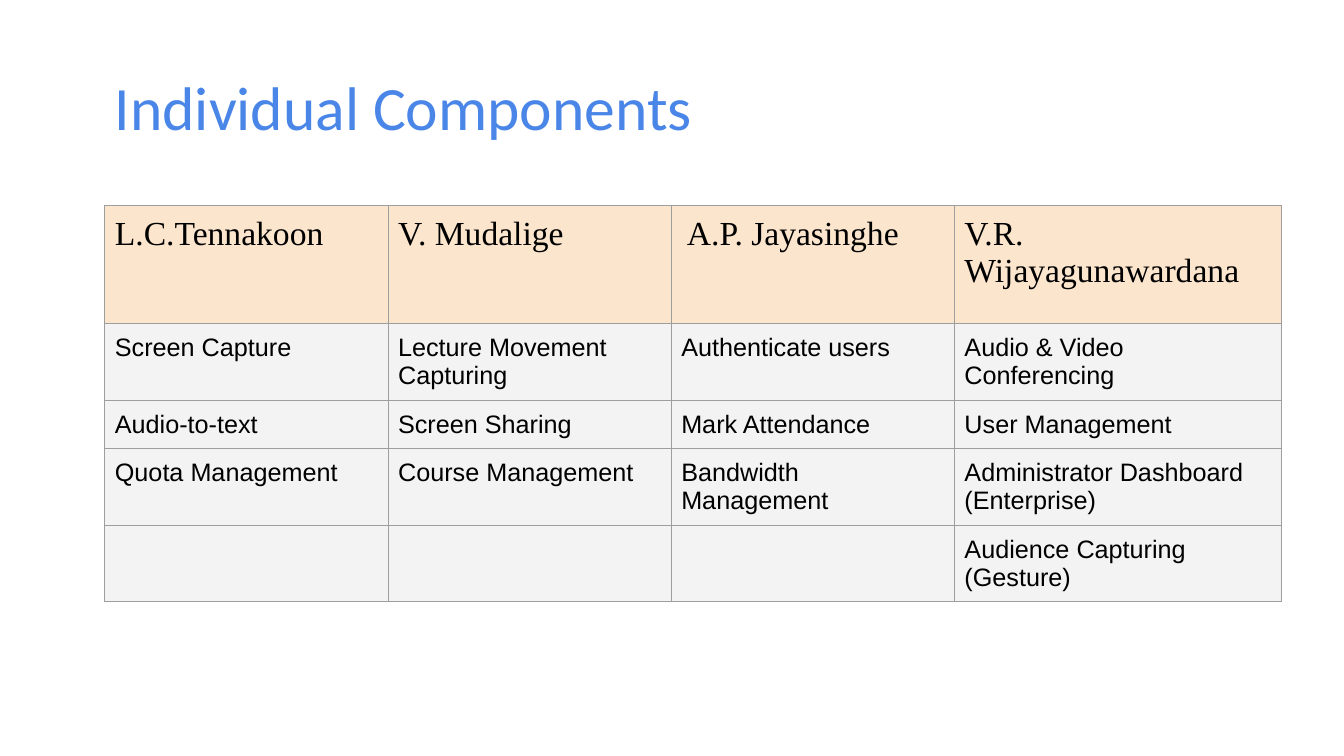
import pptx
import pptx.dml.color
import pptx.enum.text
import pptx.oxml
import pptx.oxml.ns
import pptx.util

Pt = pptx.util.Pt

COMPONENTS = {
    "L.C.Tennakoon": ["Screen Capture", "Audio-to-text", "Quota Management"],
    "V. Mudalige": ["Lecture Movement Capturing", "Screen Sharing", "Course Management"],
    "A.P. Jayasinghe": ["Authenticate users", "Mark Attendance", "Bandwidth Management"],
    "V.R. Wijayagunawardana": [
        "Audio & Video Conferencing",
        "User Management",
        "Administrator Dashboard (Enterprise)",
        "Audience Capturing (Gesture)",
    ],
}
COLUMN_WIDTHS = [202.3, 202.3, 202.3, 233.3]
ROW_HEIGHTS = [84.2, 54.6, 34.5, 54.6, 54.6]
INSET = 7.2
INDENTED_MEMBER = "A.P. Jayasinghe"
MEMBER_FORMAT = {"name": "Times New Roman", "size": Pt(24)}
COMPONENT_FORMAT = {"name": "Arial", "size": Pt(18)}
TITLE_FORMAT = {"name": "Calibri", "size": Pt(44)}


def color(value):
    return pptx.dml.color.RGBColor.from_string(value)


def set_attributes(target, values):
    for name, value in values.items():
        setattr(target, name, value)


def set_insets(target):
    """Give a cell or text frame the same inset on every side."""
    for side in ("left", "top", "right", "bottom"):
        setattr(target, f"margin_{side}", Pt(INSET))


def write_text(text_frame, text, font_format, font_color):
    paragraph = text_frame.paragraphs[0]
    run = paragraph.add_run()
    run.text = text
    set_attributes(run.font, font_format)
    run.font.color.rgb = color(font_color)
    return paragraph


def add_borders(cell, line_color, width):
    properties = cell._tc.get_or_add_tcPr()
    for position, side in enumerate(("lnL", "lnR", "lnT", "lnB")):
        border = pptx.oxml.parse_xml(
            f'<a:{side} {pptx.oxml.ns.nsdecls("a")} w="{Pt(width)}">'
            f'<a:solidFill><a:srgbClr val="{line_color}"/></a:solidFill></a:{side}>'
        )
        properties.insert(position, border)


def format_cell(cell, text, fill, font_format):
    set_insets(cell)
    cell.fill.solid()
    cell.fill.fore_color.rgb = color(fill)
    add_borders(cell, "9E9E9E", 0.75)
    if text:
        write_text(cell.text_frame, text, font_format, "000000")
    if text == INDENTED_MEMBER:
        cell.margin_left = Pt(INSET + 4)


def add_title(slide, text):
    shape = slide.shapes.add_textbox(Pt(74.9), Pt(20.9), Pt(491), Pt(115.9))
    frame = shape.text_frame
    set_insets(frame)
    set_attributes(frame, {
        "word_wrap": True,
        "vertical_anchor": pptx.enum.text.MSO_ANCHOR.MIDDLE,
    })
    write_text(frame, text, TITLE_FORMAT, "4A86E8").line_spacing = 0.9


def add_component_table(slide):
    """Add one column per member, with the member's components below the name."""
    shape = slide.shapes.add_table(
        len(ROW_HEIGHTS), len(COLUMN_WIDTHS),
        Pt(74.9), Pt(146.9), Pt(sum(COLUMN_WIDTHS)), Pt(sum(ROW_HEIGHTS)),
    )
    table = shape.table
    for row, height in zip(table.rows, ROW_HEIGHTS):
        row.height = Pt(height)
    for column, width in zip(table.columns, COLUMN_WIDTHS):
        column.width = Pt(width)
    for column_index, (member, components) in enumerate(COMPONENTS.items()):
        format_cell(table.cell(0, column_index), member, "FCE5CD", MEMBER_FORMAT)
        for row_index in range(1, len(ROW_HEIGHTS)):
            text = components[row_index - 1] if row_index <= len(components) else ""
            format_cell(table.cell(row_index, column_index), text, "F3F3F3", COMPONENT_FORMAT)


def main():
    presentation = pptx.Presentation()
    set_attributes(presentation, {"slide_width": Pt(960), "slide_height": Pt(540)})
    slide = presentation.slides.add_slide(presentation.slide_layouts[6])
    add_component_table(slide)
    add_title(slide, "Individual Components")
    presentation.save("out.pptx")


if __name__ == "__main__":
    main()
